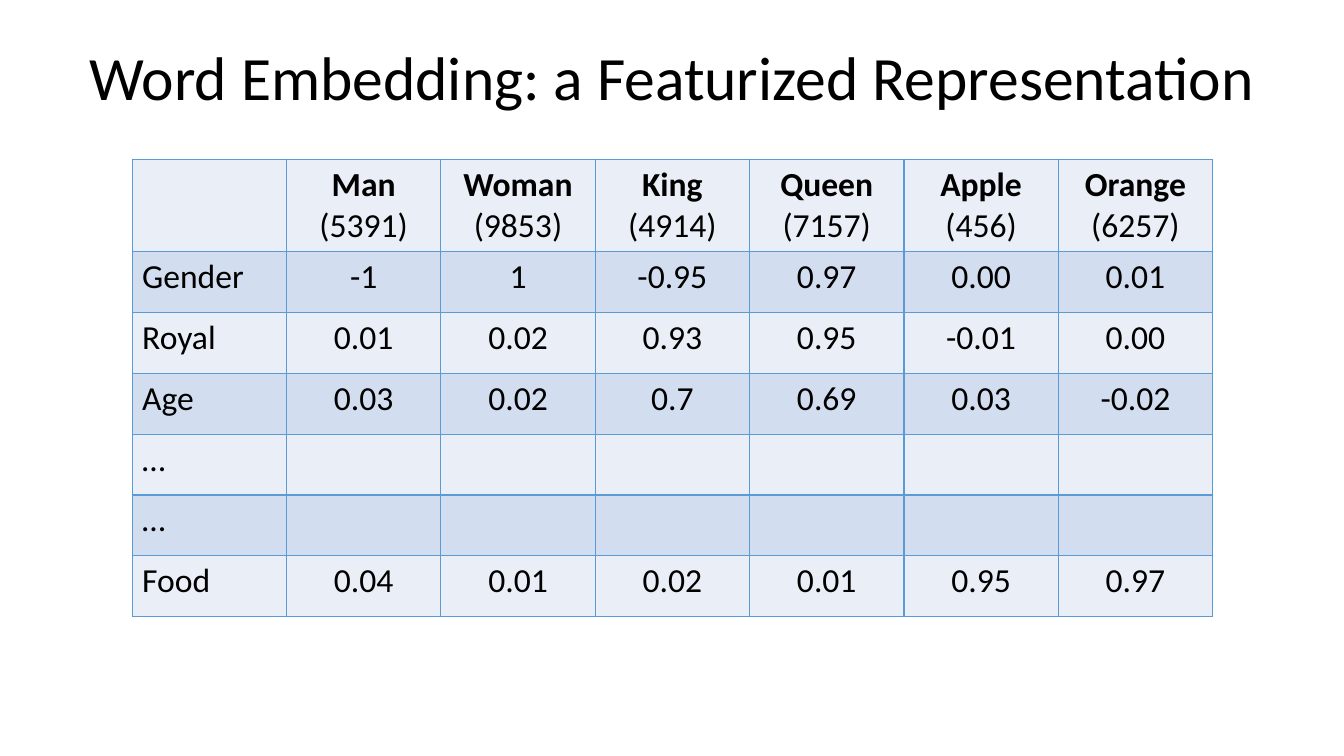
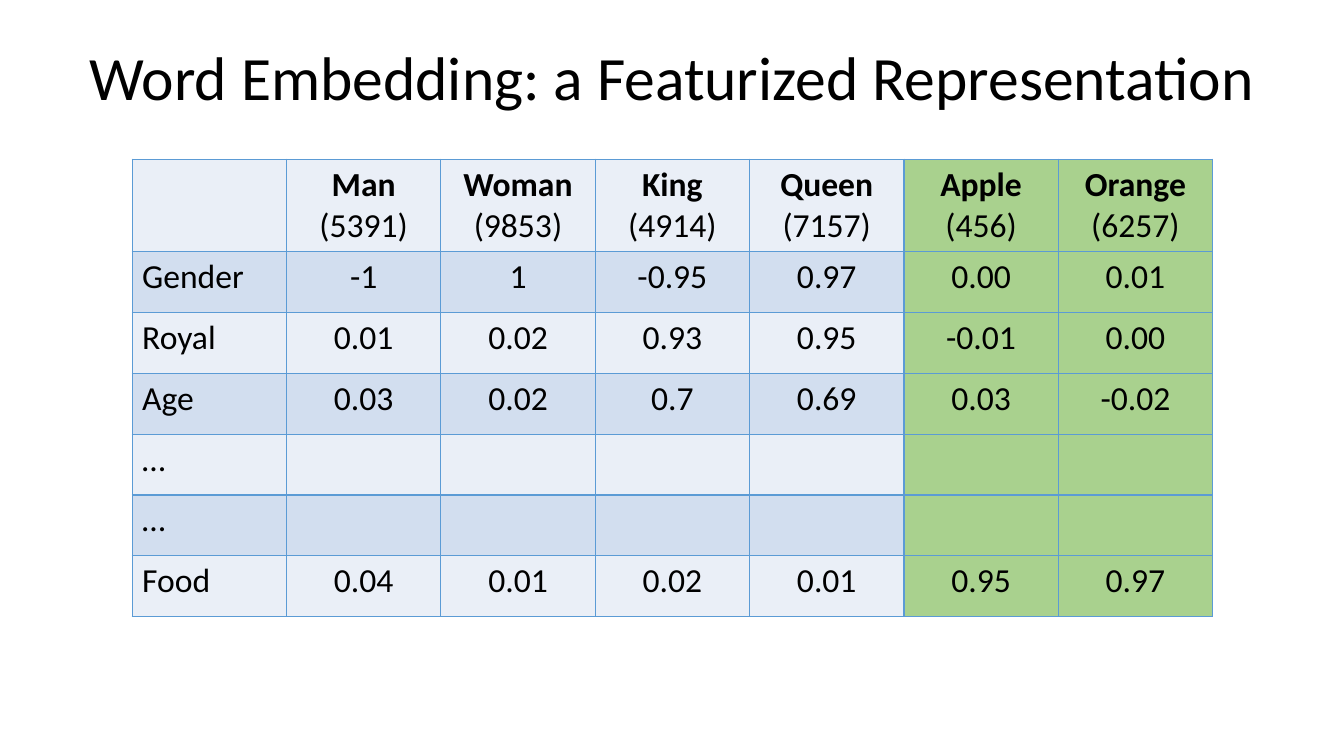
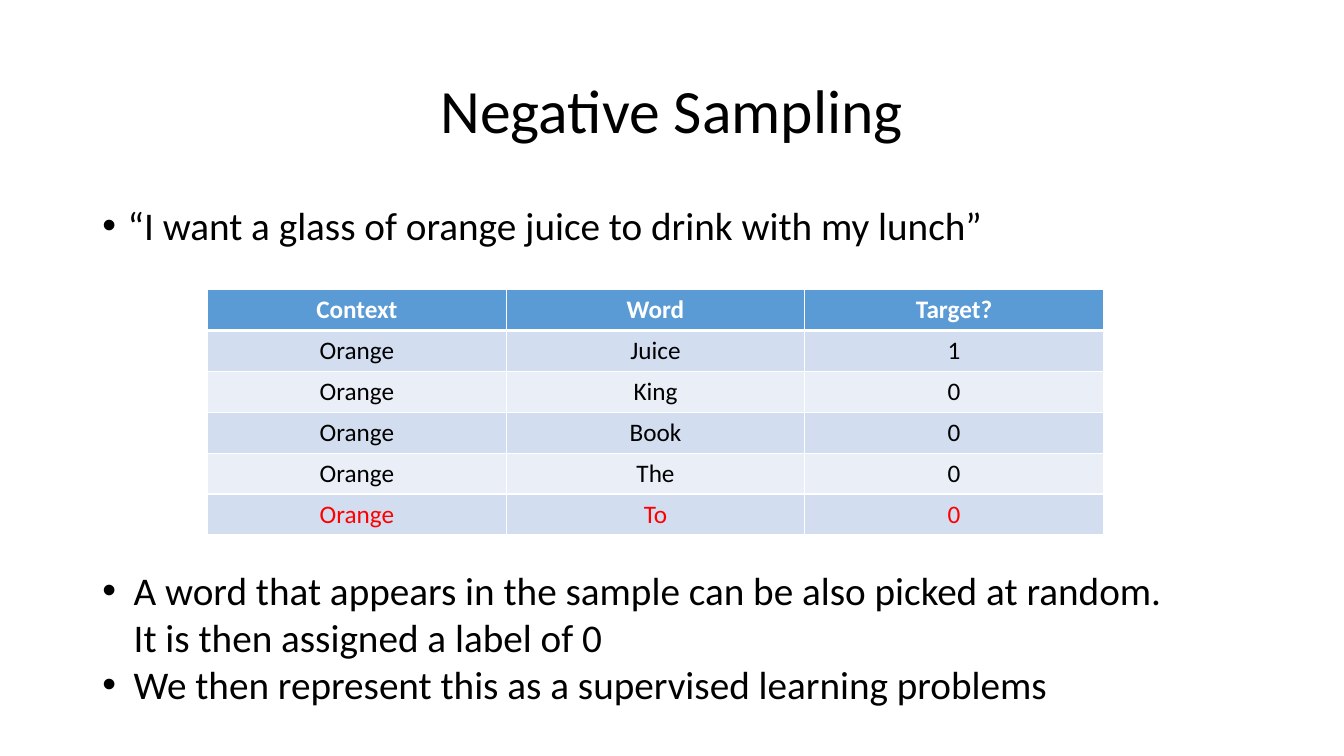
from pptx import Presentation
from pptx.dml.color import RGBColor
from pptx.enum.text import MSO_ANCHOR, MSO_AUTO_SIZE, PP_ALIGN
from pptx.oxml.ns import qn
from pptx.util import Cm, Pt
from lxml.etree import SubElement

FONT = "Calibri"
BLACK = RGBColor(0x00, 0x00, 0x00)
WHITE = RGBColor(0xFF, 0xFF, 0xFF)
RED = RGBColor(0xFF, 0x00, 0x00)
BLUE = RGBColor(0x5B, 0x9B, 0xD5)
PALE_BAND = RGBColor(0xEA, 0xEF, 0xF7)
DEEP_BAND = RGBColor(0xD2, 0xDE, 0xEF)
GREEN = RGBColor(0xA9, 0xD1, 0x8E)

TITLE_ONLY = 5
EMBEDDING_TITLE = "Word Embedding: a Featurized Representation"
EMBEDDING_TITLE_BOX = (Cm(1.3), Cm(0.86), Cm(31.29), Cm(2.34))
EMBEDDING_BOX = (Cm(3.33), Cm(4.01), Cm(27.23), Cm(11.53))
EMBEDDING_HEADER_HEIGHT = Cm(2.33)
WORDS = [("Man", "(5391)"), ("Woman", "(9853)"), ("King", "(4914)"),
         ("Queen", "(7157)"), ("Apple", "(456)"), ("Orange", "(6257)")]
FEATURES = [
    ("Gender", "-1", "1", "-0.95", "0.97", "0.00", "0.01"),
    ("Royal", "0.01", "0.02", "0.93", "0.95", "-0.01", "0.00"),
    ("Age", "0.03", "0.02", "0.7", "0.69", "0.03", "-0.02"),
    ("…",) + ("",) * 6,
    ("…",) + ("",) * 6,
    ("Food", "0.04", "0.01", "0.02", "0.01", "0.95", "0.97"),
]
FRUITS = ("Apple", "Orange")

SAMPLING_TITLE_BOX = (Cm(2.33), Cm(1.01), Cm(29.21), Cm(3.68))
SENTENCE_BOX = (Cm(2.33), Cm(5.07), Cm(29.21), Cm(1.86))
SAMPLES_BOX = (Cm(5.23), Cm(7.3), Cm(22.58), Cm(6.18))
REMARKS_BOX = (Cm(2.33), Cm(14.15), Cm(27.64), Cm(3.84))
SENTENCE = "“I want a glass of orange juice to drink with my lunch”"
REMARKS = [
    "A word that appears in the sample can be also picked at random. "
    "It is then assigned a label of 0",
    "We then represent this as a supervised learning problems",
]
SAMPLE_HEADINGS = ("Context", "Word", "Target?")
SAMPLES = [("Juice", "1"), ("King", "0"), ("Book", "0"), ("The", "0"), ("To", "0")]


def add_text(paragraph, text, size, color=BLACK, bold=False):
    run = paragraph.add_run()
    run.text = text
    run.font.name = FONT
    run.font.size = Pt(size)
    run.font.bold = bold
    run.font.color.rgb = color


def add_titled_slide(deck, title_text, box):
    slide = deck.slides.add_slide(deck.slide_layouts[TITLE_ONLY])
    title = slide.shapes.title
    title.left, title.top, title.width, title.height = box
    frame = title.text_frame
    frame.auto_size = MSO_AUTO_SIZE.NONE
    frame.vertical_anchor = MSO_ANCHOR.MIDDLE
    heading = frame.paragraphs[0]
    heading.alignment = PP_ALIGN.CENTER
    heading.line_spacing = 0.9
    add_text(heading, title_text, 44)
    return slide


def add_plain_table(slide, box, row_count, column_count):
    table = slide.shapes.add_table(row_count, column_count, *box).table
    table.first_row = False
    table.horz_banding = False
    return table


def set_borders(cell, color, top=1, bottom=1):
    properties = cell._tc.get_or_add_tcPr()
    for side, width in (("L", 1), ("R", 1), ("T", top), ("B", bottom)):
        line = SubElement(properties, qn(f"a:ln{side}"), w=str(Pt(width)))
        paint = SubElement(line, qn("a:solidFill"))
        SubElement(paint, qn("a:srgbClr"), val=str(color))


def set_fill(cell, color):
    cell.fill.solid()
    cell.fill.fore_color.rgb = color


def write_cell(cell, lines, size, alignment=PP_ALIGN.CENTER, color=BLACK, bold_first=False):
    frame = cell.text_frame
    for index, text in enumerate(lines):
        paragraph = frame.add_paragraph() if index else frame.paragraphs[0]
        paragraph.alignment = alignment
        if text:
            add_text(paragraph, text, size, color, bold_first and index == 0)


def add_embedding_table(slide, box, highlighted):
    table = add_plain_table(slide, box, len(FEATURES) + 1, len(WORDS) + 1)
    feature_height = (box[3] - EMBEDDING_HEADER_HEIGHT) // len(FEATURES)
    grid = [[("",)] + WORDS] + [[(value,) for value in feature] for feature in FEATURES]
    for row, entries in enumerate(grid):
        table.rows[row].height = feature_height if row else EMBEDDING_HEADER_HEIGHT
        for column, lines in enumerate(entries):
            cell = table.cell(row, column)
            set_borders(cell, BLUE)
            is_highlighted = grid[0][column][0] in highlighted
            band = DEEP_BAND if row % 2 else PALE_BAND
            set_fill(cell, GREEN if is_highlighted else band)
            alignment = PP_ALIGN.CENTER if column else PP_ALIGN.LEFT
            write_cell(cell, lines, 24, alignment, bold_first=row == 0)


def add_samples_table(slide, box):
    grid = [SAMPLE_HEADINGS] + [("Orange", word, target) for word, target in SAMPLES]
    table = add_plain_table(slide, box, len(grid), len(SAMPLE_HEADINGS))
    for row, entries in enumerate(grid):
        is_header = row == 0
        band = BLUE if is_header else DEEP_BAND if row % 2 else PALE_BAND
        color = WHITE if is_header else RED if row == len(SAMPLES) else BLACK
        for column, text in enumerate(entries):
            cell = table.cell(row, column)
            set_borders(cell, WHITE, top=3 if row == 1 else 1, bottom=3 if is_header else 1)
            set_fill(cell, band)
            write_cell(cell, [text], 18, color=color, bold_first=is_header)


def add_bullets(slide, box, items, indent, line_spacing=1.0):
    frame = slide.shapes.add_textbox(*box).text_frame
    frame.word_wrap = True
    for index, text in enumerate(items):
        paragraph = frame.add_paragraph() if index else frame.paragraphs[0]
        properties = paragraph._p.get_or_add_pPr()
        properties.set("marL", str(indent))
        properties.set("indent", str(-indent))
        SubElement(properties, qn("a:buFont"), typeface="Arial")
        SubElement(properties, qn("a:buChar"), char="•")
        paragraph.line_spacing = line_spacing
        add_text(paragraph, text, 28)


def add_embedding_slide(deck, highlighted=()):
    slide = add_titled_slide(deck, EMBEDDING_TITLE, EMBEDDING_TITLE_BOX)
    add_embedding_table(slide, EMBEDDING_BOX, highlighted)


def add_sampling_slide(deck):
    slide = add_titled_slide(deck, "Negative Sampling", SAMPLING_TITLE_BOX)
    add_bullets(slide, SENTENCE_BOX, [SENTENCE], Cm(0.64), 0.9)
    add_samples_table(slide, SAMPLES_BOX)
    add_bullets(slide, REMARKS_BOX, REMARKS, Cm(0.79))


def main():
    deck = Presentation()
    deck.slide_width = Cm(33.87)
    deck.slide_height = Cm(19.05)
    add_embedding_slide(deck)
    add_embedding_slide(deck, FRUITS)
    add_sampling_slide(deck)
    deck.save("out.pptx")


if __name__ == "__main__":
    main()
